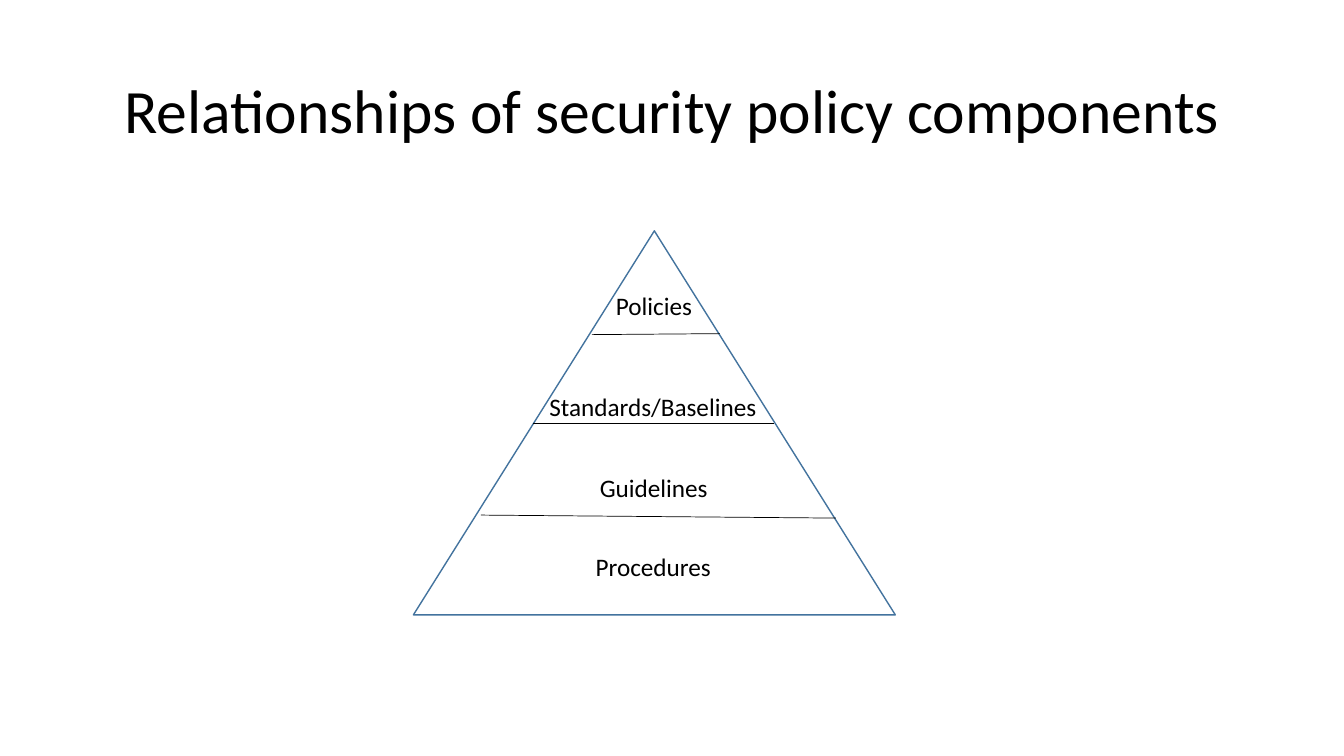
"""Build a slide showing the pyramid of security policy components."""
from dataclasses import dataclass

from lxml.etree import SubElement
from pptx import Presentation
from pptx.dml.color import RGBColor
from pptx.enum.shapes import MSO_CONNECTOR, MSO_SHAPE
from pptx.enum.text import MSO_ANCHOR, MSO_AUTO_SIZE, PP_ALIGN
from pptx.oxml.ns import qn
from pptx.slide import Slide
from pptx.text.text import _Paragraph as Paragraph
from pptx.util import Emu, Pt

EMU_PER_PX = 9144
FONT_NAME = "Calibri"
COLORS = {"text": "000000", "divider": "000000", "face": "FFFFFF", "edge": "43739E"}
LABEL_CENTER = 649
LABEL_HEIGHT = 40


@dataclass(frozen=True)
class Label:
    text: str
    top: int
    width: int


@dataclass(frozen=True)
class Divider:
    left: int
    left_height: int
    right: int
    right_height: int


LABELS = (
    Label("Policies", 283, 96),
    Label("Standards/Baselines", 383, 228),
    Label("Guidelines", 464, 129),
    Label("Procedures", 542, 136),
)
DIVIDERS = (
    Divider(587, 332, 714, 331),
    Divider(529, 420, 768, 420),
    Divider(477, 511, 829, 514),
)


def px(length: int) -> Emu:
    return Emu(length * EMU_PER_PX)


def color(name: str) -> RGBColor:
    return RGBColor.from_string(COLORS[name])


def write_text(paragraph: Paragraph, text: str, size: int) -> None:
    paragraph.text = text
    paragraph.font.name = FONT_NAME
    paragraph.font.size = Pt(size)
    paragraph.font.color.rgb = color("text")


def add_title(slide: Slide, text: str) -> None:
    shape = slide.shapes.add_textbox(px(92), px(40), px(1150), px(145))
    frame = shape.text_frame
    frame.word_wrap = True
    frame.vertical_anchor = MSO_ANCHOR.MIDDLE
    paragraph = frame.paragraphs[0]
    paragraph.alignment = PP_ALIGN.CENTER
    paragraph.line_spacing = 0.9
    write_text(paragraph, text, 44)


def add_pyramid(slide: Slide) -> None:
    shape = slide.shapes.add_shape(
        MSO_SHAPE.ISOSCELES_TRIANGLE, px(410), px(229), px(478), px(381)
    )
    shape.shadow.inherit = False
    shape.fill.solid()
    shape.fill.fore_color.rgb = color("face")
    shape.line.color.rgb = color("edge")
    shape.line.width = Pt(1)


def add_divider(slide: Slide, divider: Divider) -> None:
    connector = slide.shapes.add_connector(
        MSO_CONNECTOR.STRAIGHT,
        px(divider.left), px(divider.left_height),
        px(divider.right), px(divider.right_height),
    )
    connector.line.color.rgb = color("divider")
    connector.line.width = Pt(0.5)
    SubElement(connector._element.spPr, qn("a:effectLst"))


def add_label(slide: Slide, label: Label) -> None:
    shape = slide.shapes.add_textbox(
        px(LABEL_CENTER - label.width // 2), px(label.top),
        px(label.width), px(LABEL_HEIGHT),
    )
    frame = shape.text_frame
    frame.word_wrap = False
    frame.auto_size = MSO_AUTO_SIZE.SHAPE_TO_FIT_TEXT
    write_text(frame.paragraphs[0], label.text, 18)


def main() -> None:
    presentation = Presentation()
    presentation.slide_width = px(1333)
    presentation.slide_height = px(750)
    slide = presentation.slides.add_slide(presentation.slide_layouts[6])
    add_title(slide, "Relationships of security policy components")
    add_pyramid(slide)
    for divider in DIVIDERS:
        add_divider(slide, divider)
    for label in LABELS:
        add_label(slide, label)
    presentation.save("out.pptx")


if __name__ == "__main__":
    main()
